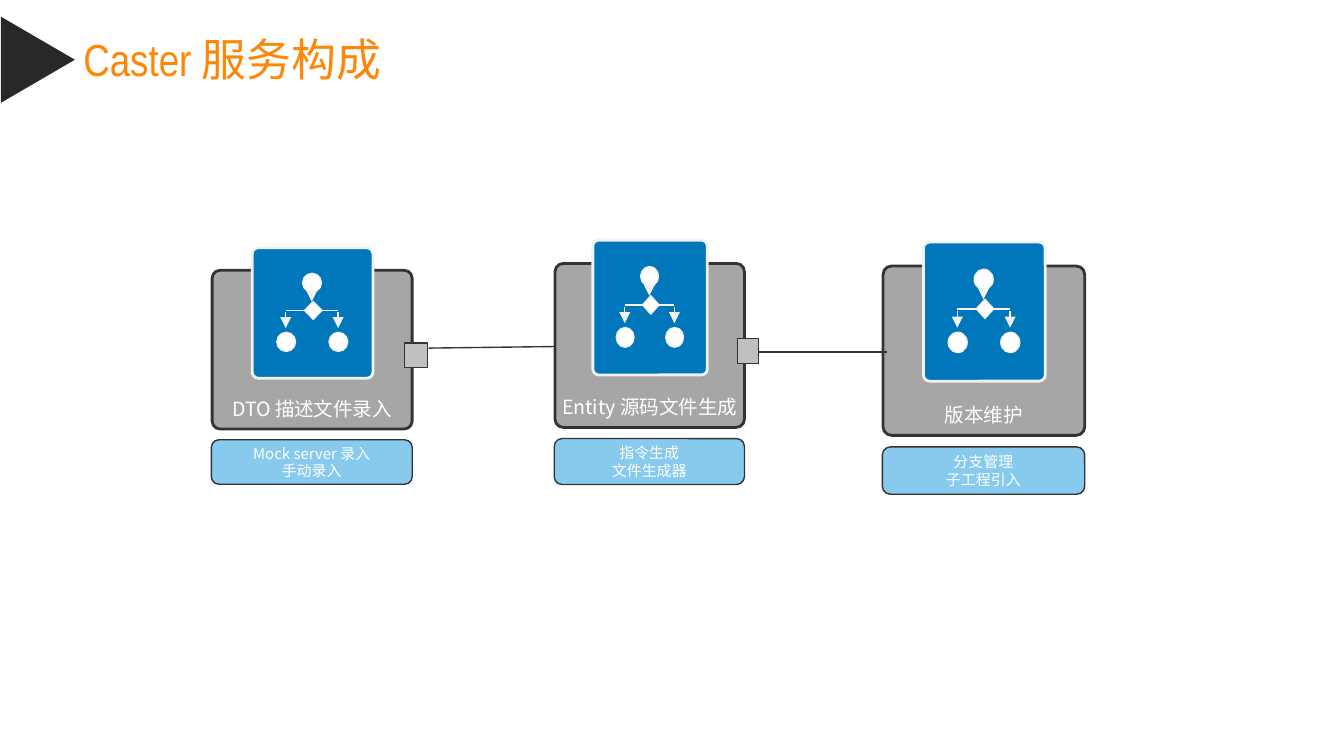
from dataclasses import dataclass

import pptx
import pptx.util
from lxml import etree
from pptx.dml.color import RGBColor
from pptx.enum.shapes import MSO_CONNECTOR, MSO_SHAPE
from pptx.enum.text import MSO_ANCHOR, MSO_AUTO_SIZE, PP_ALIGN
from pptx.oxml.ns import qn
from pptx.util import Cm

ORANGE = RGBColor(0xFF, 0x86, 0x07)
BLACK = RGBColor(0x28, 0x28, 0x28)
DARK = RGBColor(0x33, 0x33, 0x33)
GREY = RGBColor(0xA6, 0xA6, 0xA6)
SILVER = RGBColor(0xC0, 0xC0, 0xC0)
BLUE = RGBColor(0x00, 0x77, 0xBB)
SKY = RGBColor(0x88, 0xC9, 0xEE)
PALE = RGBColor(0xF2, 0xF2, 0xF2)
WHITE = RGBColor(0xFF, 0xFF, 0xFF)
TITLE_FONT = "Arial Narrow"
BODY_FONT = "Noto Sans CJK SC"


@dataclass
class Module:
    left: float
    top: float
    width: float
    height: float
    name: str
    details: str
    has_port: bool = True

    def x(self, percent: float) -> float:
        return self.left + self.width * percent / 100

    def y(self, percent: float) -> float:
        return self.top + self.height * percent / 100


@dataclass
class Part:
    kind: MSO_SHAPE
    left: float
    top: float
    width: float
    height: float
    fill: RGBColor
    line: RGBColor
    weight: float = 0.75
    radius: float | None = None


@dataclass
class Link:
    x1: float
    y1: float
    x2: float
    y2: float
    arrow: bool = False


MODULES = [
    Module(4.01, 5.11, 3.78, 3.0, "DTO 描述文件录入", "Mock server 录入\n手动录入"),
    Module(10.49, 4.98, 3.58, 3.1, "Entity 源码文件生成", "指令生成\n文件生成器"),
    Module(16.69, 5.03, 3.81, 3.2, "版本维护", "分支管理\n子工程引入", has_port=False),
]
MODULE_LINKS = [Link(8.1, 6.58, 10.49, 6.55), Link(14.33, 6.65, 16.76, 6.65)]

BAR = Part(MSO_SHAPE.ROUNDED_RECTANGLE, -0.4, 106.8, 100.4, 28, SKY, DARK, radius=0.17)
BODY = Part(MSO_SHAPE.ROUNDED_RECTANGLE, 0, 0, 100, 100, GREY, DARK, 1.5, 0.05)
PORT = Part(MSO_SHAPE.RECTANGLE, 96.2, 45.8, 11.4, 15.4, SILVER, DARK)
TILE = Part(MSO_SHAPE.ROUNDED_RECTANGLE, 20, -14.2, 60.4, 82.2, BLUE, PALE, 1.5, 0.05)
NODES = [Part(MSO_SHAPE.OVAL, x, y, 9.4, 12, WHITE, PALE)
         for x, y in ((45.2, 1.9), (58.4, 39.1), (32.3, 39.1))]
DECISION = Part(MSO_SHAPE.DIAMOND, 46.2, 19.7, 8.7, 11.2, WHITE, PALE)
BRANCHES = [
    Link(49.8, 9.5, 49.8, 19.7, arrow=True),
    Link(36.8, 25.4, 63, 25.4),
    Link(36.8, 26.3, 36.8, 36.4, arrow=True),
    Link(63, 26.3, 63, 36.4, arrow=True),
]


def write(sp, text: str, *, size: float, color: RGBColor, font: str,
          align: PP_ALIGN = PP_ALIGN.CENTER, anchor: MSO_ANCHOR = MSO_ANCHOR.MIDDLE) -> None:
    tf = sp.text_frame
    tf.word_wrap = False
    tf.auto_size = MSO_AUTO_SIZE.NONE
    tf.vertical_anchor = anchor
    for i, line in enumerate(text.split("\n")):
        p = tf.add_paragraph() if i else tf.paragraphs[0]
        p.alignment = align
        r = p.add_run()
        r.text = line
        r.font.size = pptx.util.Pt(size)
        r.font.color.rgb = color
        r.font.name = font
        r.font.bold = False
        latin = r.font._element.find(qn("a:latin"))
        ea = etree.Element(qn("a:ea"), typeface=font)
        latin.addnext(ea)


def add_part(shapes, m: Module, part: Part):
    sp = shapes.add_shape(part.kind, Cm(m.x(part.left)), Cm(m.y(part.top)),
                          Cm(m.width * part.width / 100), Cm(m.height * part.height / 100))
    sp.shadow.inherit = False
    sp.fill.solid()
    sp.fill.fore_color.rgb = part.fill
    sp.line.color.rgb = part.line
    sp.line.width = pptx.util.Pt(part.weight)
    if part.radius is not None:
        sp.adjustments[0] = part.radius
    return sp


def add_link(shapes, link: Link, color: RGBColor) -> None:
    c = shapes.add_connector(MSO_CONNECTOR.STRAIGHT, Cm(link.x1), Cm(link.y1),
                             Cm(link.x2), Cm(link.y2))
    c.line.color.rgb = color
    c.line.width = pptx.util.Pt(0.75)
    if link.arrow:
        etree.SubElement(c.line._get_or_add_ln(), qn("a:tailEnd"), type="triangle")
    etree.SubElement(c._element.spPr, qn("a:effectLst"))


def add_module(s, m: Module) -> None:
    shapes = s.shapes.add_group_shape().shapes
    bar = add_part(shapes, m, BAR)
    write(bar, m.details, size=8, color=WHITE, font=BODY_FONT)
    body = add_part(shapes, m, BODY)
    write(body, m.name, size=10.5, color=WHITE, font=BODY_FONT, anchor=MSO_ANCHOR.BOTTOM)
    if m.has_port:
        add_part(shapes, m, PORT)
    for part in (TILE, *NODES):
        add_part(shapes, m, part)
    for b in BRANCHES:
        add_link(shapes, Link(m.x(b.x1), m.y(b.y1), m.x(b.x2), m.y(b.y2), b.arrow), PALE)
    add_part(shapes, m, DECISION)


def add_title(s, text: str) -> None:
    title = s.shapes.title
    title.left, title.top, title.width, title.height = Cm(1.32), Cm(0.48), Cm(6.4), Cm(1.27)
    write(title, text, size=24, color=ORANGE, font=TITLE_FONT,
          align=PP_ALIGN.LEFT, anchor=MSO_ANCHOR.TOP)
    sp = s.shapes.add_shape(MSO_SHAPE.ISOSCELES_TRIANGLE, Cm(-0.1), Cm(0.43), Cm(1.63), Cm(1.4))
    sp.rotation = 90
    sp.shadow.inherit = False
    sp.fill.solid()
    sp.fill.fore_color.rgb = BLACK
    sp.line.fill.background()


def main() -> None:
    prs = pptx.Presentation()
    prs.slide_width, prs.slide_height = Cm(25.4), Cm(14.29)
    s = prs.slides.add_slide(prs.slide_layouts[5])
    add_title(s, "Caster 服务构成")
    for m in MODULES:
        add_module(s, m)
    for link in MODULE_LINKS:
        add_link(s.shapes, link, DARK)
    prs.save("out.pptx")


if __name__ == "__main__":
    main()
